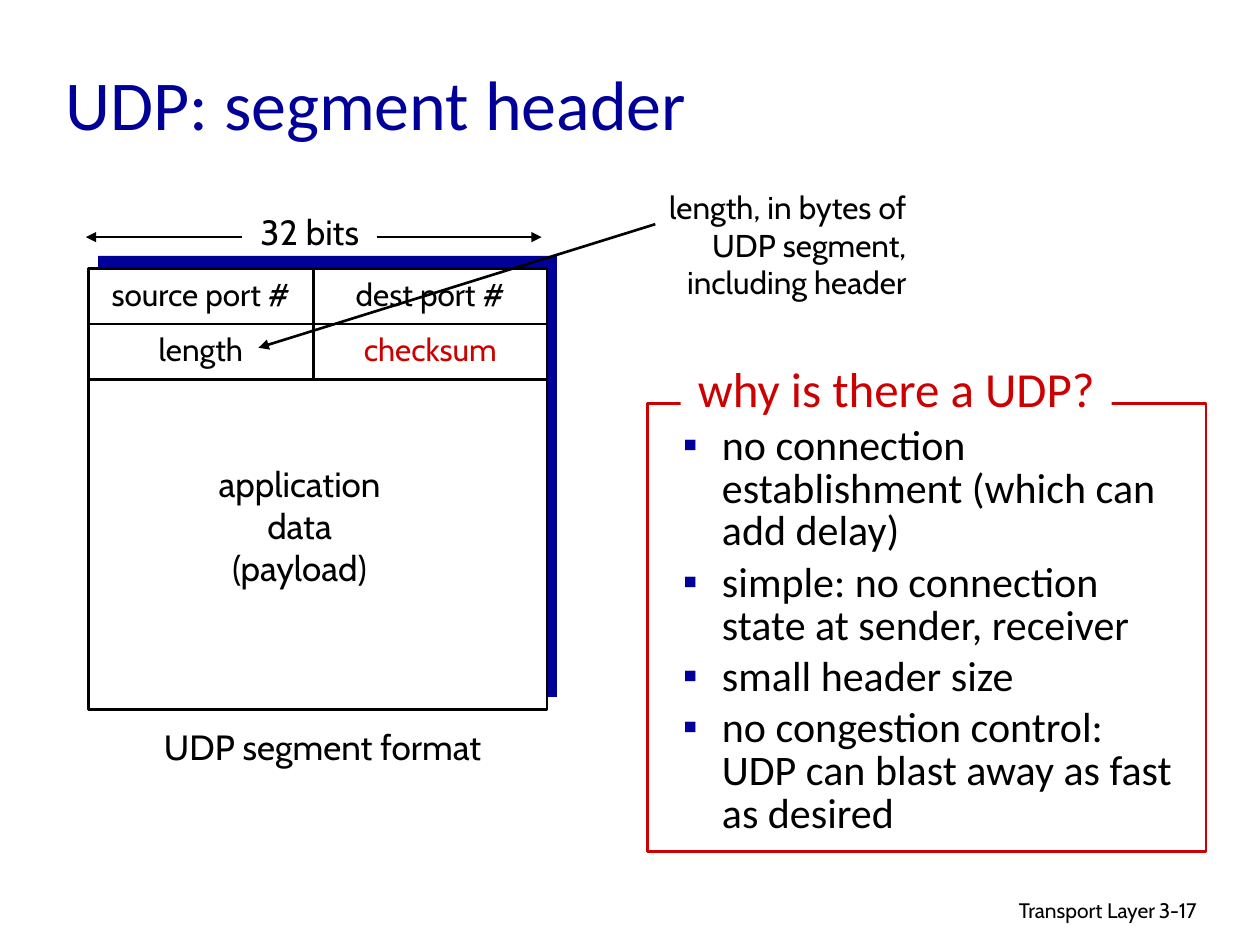
from lxml import etree
from pptx import Presentation
from pptx.dml.color import RGBColor
from pptx.enum import shapes, text
from pptx.oxml.ns import qn
from pptx.util import Cm, Pt

NAVY = RGBColor(0x00, 0x00, 0x99)
RED = RGBColor(0xCC, 0x00, 0x00)
BLACK = RGBColor(0, 0, 0)
WHITE = RGBColor(0xFF, 0xFF, 0xFF)
CENTER, RIGHT, LEFT = text.PP_ALIGN.CENTER, text.PP_ALIGN.RIGHT, text.PP_ALIGN.LEFT

# Content
TITLE = "UDP: segment header"
FIELDS = [
    [("source port #", BLACK), ("dest port #", BLACK)],
    [("length", BLACK), ("checksum", RED)],
]
PAYLOAD = ["application", "data", "(payload)"]
QUESTION = "why is there a UDP?"
REASONS = [
    "no connection establishment (which can add delay)",
    "simple: no connection state at sender, receiver",
    "small header size",
    "no congestion control: UDP can blast away as fast as desired",
]

# Segment geometry, in cm
SEG_X, SEG_Y, SEG_W, SEG_H = 1.78, 5.41, 9.25, 8.89
ROW_H = 1.12
COL_X = [SEG_X, 6.32, SEG_X + SEG_W]
RULER_Y = 4.78


def place(shape, x, y, w, h):
    shape.left, shape.top, shape.width, shape.height = Cm(x), Cm(y), Cm(w), Cm(h)


def write(tf, lines, size=18, font="Cabin", color=BLACK, align=LEFT, wrap=True,
          spacing=None, before=0, bullet=None, anchor=text.MSO_ANCHOR.TOP):
    tf.word_wrap = wrap
    tf.auto_size = text.MSO_AUTO_SIZE.NONE
    tf.vertical_anchor = anchor
    for i, line in enumerate([lines] if isinstance(lines, str) else lines):
        p = tf.paragraphs[0] if i == 0 else tf.add_paragraph()
        if bullet:
            add_bullet(p, bullet)
        p.alignment = align
        p.space_before = Pt(before if i else 0)
        if spacing:
            p.line_spacing = spacing
        r = p.add_run()
        r.text = line
        r.font.size, r.font.name, r.font.color.rgb = Pt(size), font, color


def add_bullet(p, char):
    pPr = p._p.get_or_add_pPr()
    pPr.set("marL", str(Cm(0.79)))
    pPr.set("indent", str(-Cm(0.79)))
    clr = etree.SubElement(pPr, qn("a:buClr"))
    etree.SubElement(clr, qn("a:srgbClr")).set("val", str(NAVY))
    etree.SubElement(pPr, qn("a:buChar")).set("char", char)


def label(s, lines, x, y, w, h, **fmt):
    tb = s.shapes.add_textbox(Cm(x), Cm(y), Cm(w), Cm(h))
    write(tb.text_frame, lines, **fmt)


def rect(s, x, y, w, h, fill=None, line=None):
    sp = s.shapes.add_shape(shapes.MSO_SHAPE.RECTANGLE, Cm(x), Cm(y), Cm(w), Cm(h))
    sp.shadow.inherit = False
    if fill is None:
        sp.fill.background()
    else:
        sp.fill.solid()
        sp.fill.fore_color.rgb = fill
    if line is None:
        sp.line.fill.background()
    else:
        sp.line.color.rgb, sp.line.width = line, Pt(1.5)
    return sp


def rule(s, x1, y1, x2, y2, arrow=False):
    c = s.shapes.add_connector(shapes.MSO_CONNECTOR.STRAIGHT,
                               Cm(x1), Cm(y1), Cm(x2), Cm(y2))
    c.line.color.rgb, c.line.width = BLACK, Pt(1.5)
    if arrow:
        etree.SubElement(c.line._get_or_add_ln(), qn("a:tailEnd")).set("type", "triangle")
    etree.SubElement(c._element.spPr, qn("a:effectLst"))


def main():
    prs = Presentation()
    prs.slide_width, prs.slide_height = Cm(25.4), Cm(19.05)
    s = prs.slides.add_slide(prs.slide_layouts[1])
    title, body = s.placeholders

    # Title and footer
    place(title, 1.07, 0.69, 23.16, 2.77)
    write(title.text_frame, TITLE, size=40, font="Calibri", color=NAVY,
          anchor=text.MSO_ANCHOR.MIDDLE)
    label(s, "Transport Layer", 15.49, 17.96, 8.05, 0.79, size=12, align=RIGHT)
    label(s, "3-17", 23.11, 17.96, 1.88, 0.76, size=12)

    # Segment with its offset backing
    rect(s, SEG_X + 0.2, SEG_Y - 0.25, SEG_W, SEG_H, fill=NAVY)
    rect(s, SEG_X, SEG_Y, SEG_W, SEG_H, fill=WHITE, line=BLACK)

    # Header fields and their dividing lines
    for i, row in enumerate(FIELDS):
        top = SEG_Y + i * ROW_H
        for (name, color), x1, x2 in zip(row, COL_X, COL_X[1:]):
            label(s, name, x1, top, x2 - x1, 1.02, color=color, align=CENTER, wrap=False)
        rule(s, SEG_X, top + ROW_H, SEG_X + SEG_W, top + ROW_H)
    rule(s, COL_X[1], SEG_Y, COL_X[1], SEG_Y + len(FIELDS) * ROW_H)

    # Width ruler, payload and caption
    label(s, "32 bits", 4.95, 4.11, 2.59, 1.09, size=20, align=CENTER, wrap=False)
    rule(s, 4.88, RULER_Y, 1.73, RULER_Y, arrow=True)
    rule(s, 7.59, RULER_Y, 10.92, RULER_Y, arrow=True)
    label(s, PAYLOAD, 4.11, 9.19, 3.86, 2.79, size=20, align=CENTER, wrap=False)
    label(s, "UDP segment format", 3, 14.5, 7.01, 1.09, size=20, align=CENTER, wrap=False)

    # Note on the length field
    label(s, "length, in bytes of UDP segment, including header",
          11.84, 3.66, 6.68, 2.54, align=RIGHT)
    rule(s, 13.21, 4.52, 5.21, 7.01, arrow=True)

    # Reasons for UDP, framed, with the question over the frame
    place(body, 13.51, 8.46, 10.59, 8.46)
    write(body.text_frame, REASONS, size=24, font="Calibri", spacing=0.85,
          before=4.8, bullet="▪")
    rect(s, 13.06, 8.13, 11.25, 9.04, line=RED)
    question = rect(s, 13.72, 7.34, 8.69, 1.19, fill=WHITE)
    write(question.text_frame, QUESTION, size=28, font="Calibri", color=RED,
          align=CENTER, wrap=False, spacing=0.8)

    prs.save("out.pptx")


if __name__ == "__main__":
    main()
